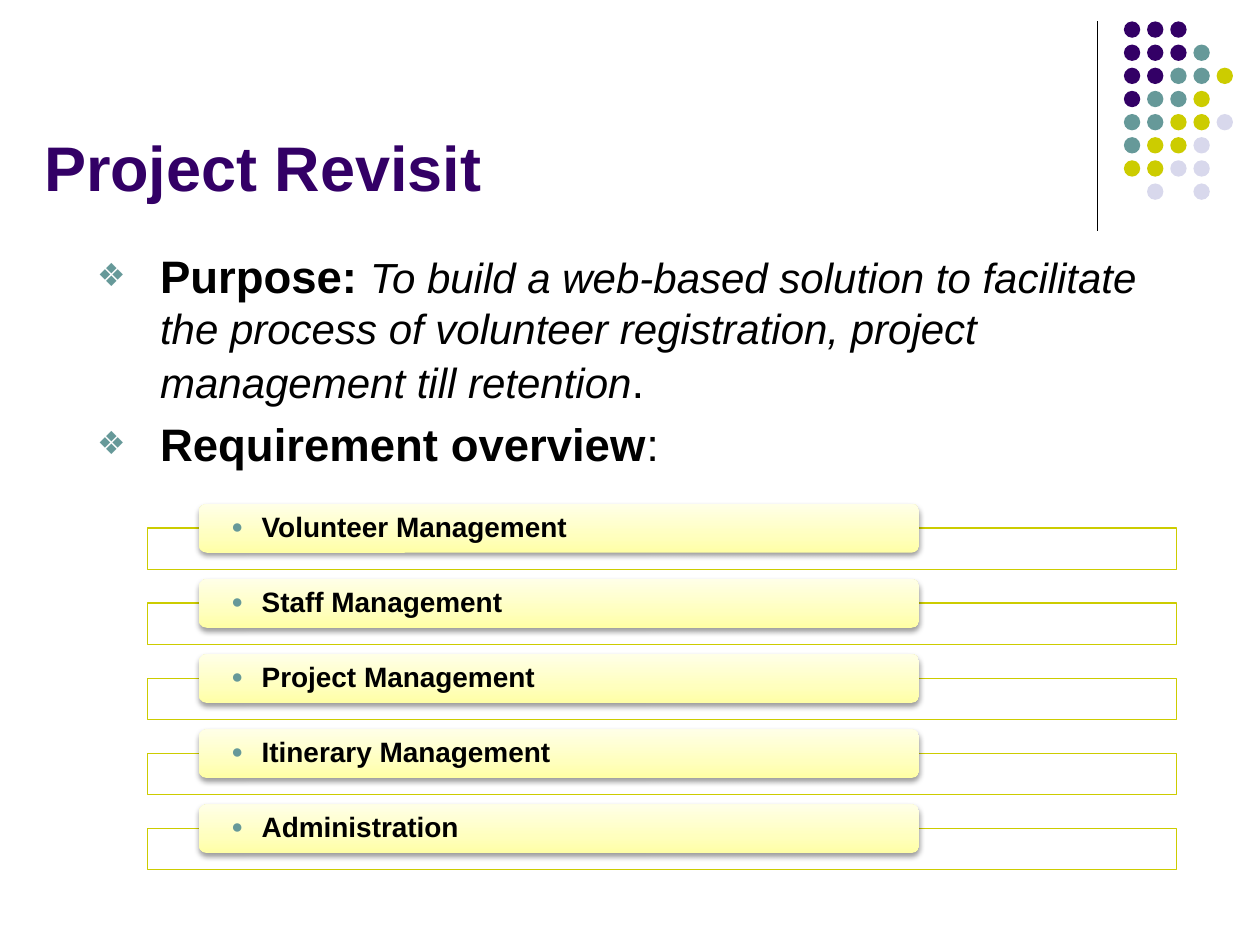
import pptx
import pptx.util
import pptx.dml.color
import pptx.enum.shapes
import pptx.enum.text
import pptx.oxml
import pptx.oxml.ns
from dataclasses import dataclass

RGB = pptx.dml.color.RGBColor
PURPLE = RGB(0x33, 0x00, 0x66)
TEAL = RGB(0x66, 0x99, 0x99)
OLIVE = RGB(0xCC, 0xCC, 0x00)
LAVENDER = RGB(0xD8, 0xD8, 0xEC)
BLACK = RGB(0x00, 0x00, 0x00)
WHITE = RGB(0xFF, 0xFF, 0xFF)
PALE_STOPS = [(0, RGB(0xFF, 0xFF, 0xA5)), (35, RGB(0xFF, 0xFF, 0xBF)), (100, RGB(0xFF, 0xFF, 0xE7))]

FONT = "Arial"
DOT_COLOURS = {"P": PURPLE, "T": TEAL, "O": OLIVE, "L": LAVENDER}
DOT_ROWS = ["PPP", "PPPT", "PPTTO", "PTTO", "TTOOL", "TOOL", "OOLL", " L L"]
REQUIREMENTS = [
    "Volunteer Management",
    "Staff Management",
    "Project Management",
    "Itinerary Management",
    "Administration",
]
OVERVIEW = [
    [
        ("Purpose: ", 26, True, False),
        ("To build a web-based solution to facilitate the process of volunteer registration, "
         "project management till retention", 24, False, True),
        (".", 26, False, False),
    ],
    [("Requirement overview", 26, True, False), (":", 26, False, False)],
]


@dataclass
class Box:
    """A region in inches."""
    left: float
    top: float
    width: float
    height: float

    def inner(self, x, y, w, h):
        """Return the region given by shares of this one."""
        return Box(self.left + x * self.width, self.top + y * self.height,
                   w * self.width, h * self.height)

    def emu(self):
        """Return left, top, width and height as lengths."""
        return [pptx.util.Inches(n) for n in (self.left, self.top, self.width, self.height)]


def xml(text):
    """Parse a DrawingML element written with the a: prefix."""
    head, mark, tail = text.partition(">")
    space = " " + pptx.oxml.ns.nsdecls("a")
    cut = len(head) - 1 if head.endswith("/") else len(head)
    return pptx.oxml.parse_xml(head[:cut] + space + head[cut:] + mark + tail)


def format_run(run, size, colour, bold=False, italic=False):
    """Set the font of one run."""
    font = run.font
    font.name, font.size = FONT, pptx.util.Pt(size)
    font.bold, font.italic = bold, italic
    font.color.rgb = colour


def set_bullet(paragraph, symbol, indent):
    """Give a paragraph a small teal bullet and a hanging indent."""
    props = paragraph._p.get_or_add_pPr()
    props.set("marL", str(pptx.util.Inches(indent)))
    props.set("indent", str(-pptx.util.Inches(indent)))
    for setting in (f'<a:buClr><a:srgbClr val="{TEAL}"/></a:buClr>', '<a:buSzPct val="70000"/>',
                    f'<a:buFont typeface="{FONT}"/>', f'<a:buChar char="{symbol}"/>'):
        props.append(xml(setting))


def place(placeholder, box, anchor):
    """Move a placeholder to its box and anchor its text."""
    placeholder.left, placeholder.top, placeholder.width, placeholder.height = box.emu()
    frame = placeholder.text_frame
    frame.auto_size = pptx.enum.text.MSO_AUTO_SIZE.NONE
    frame.word_wrap = True
    frame.vertical_anchor = anchor
    return frame


def add_title(slide, box):
    """Fill the title placeholder."""
    frame = place(slide.shapes.title, box, pptx.enum.text.MSO_ANCHOR.BOTTOM)
    frame.text = "Project Revisit"
    heading = frame.paragraphs[0]
    heading.alignment = pptx.enum.text.PP_ALIGN.LEFT
    format_run(heading.runs[0], 36, PURPLE, bold=True)


def add_overview(slide, box):
    """Fill the body placeholder with the purpose and the overview heading."""
    frame = place(slide.placeholders[1], box, pptx.enum.text.MSO_ANCHOR.TOP)
    for index, pieces in enumerate(OVERVIEW):
        point = frame.paragraphs[0] if index == 0 else frame.add_paragraph()
        point.space_before = pptx.util.Pt(5)
        set_bullet(point, "❖", 0.5)
        for text, size, bold, italic in pieces:
            run = point.add_run()
            run.text = text
            format_run(run, size, BLACK, bold, italic)


def add_dots(slide, box):
    """Draw the dot pattern on a grid of five columns and eight rows."""
    dots = slide.shapes.add_group_shape().shapes
    for row, codes in enumerate(DOT_ROWS):
        for column, code in enumerate(codes):
            if code == " ":
                continue
            cell = box.inner(column / 5, row / 8, 0.13 / box.width, 0.13 / box.height)
            dot = dots.add_shape(pptx.enum.shapes.MSO_SHAPE.OVAL, *cell.emu())
            dot.shadow.inherit = False
            dot.fill.solid()
            dot.fill.fore_color.rgb = DOT_COLOURS[code]
            dot.line.fill.background()


def add_divider(slide, box):
    """Draw the thin vertical line down the left edge of the box."""
    left, top, _, height = box.emu()
    divider = slide.shapes.add_connector(
        pptx.enum.shapes.MSO_CONNECTOR.STRAIGHT, left, top, left, top + height)
    divider.line.color.rgb = BLACK
    divider.line.width = pptx.util.Pt(0.75)
    divider._element.spPr.append(xml("<a:effectLst/>"))


def add_requirement(shapes, box, name):
    """Draw one outlined bar with its raised label."""
    bar = shapes.add_shape(pptx.enum.shapes.MSO_SHAPE.RECTANGLE, *box.inner(0, 0.32, 1, 0.55).emu())
    bar.shadow.inherit = False
    bar.fill.solid()
    bar.fill.fore_color.rgb = WHITE
    bar._element.spPr.find(".//" + pptx.oxml.ns.qn("a:srgbClr")).append(xml('<a:alpha val="90000"/>'))
    bar.line.color.rgb = OLIVE
    bar.line.width = pptx.util.Pt(0.75)

    label = shapes.add_shape(
        pptx.enum.shapes.MSO_SHAPE.ROUNDED_RECTANGLE, *box.inner(0.05, 0, 0.7, 0.65).emu())
    stops = "".join(f'<a:gs pos="{position * 1000}"><a:srgbClr val="{colour}"/></a:gs>'
                    for position, colour in PALE_STOPS)
    label._element.spPr.insert(2, xml(
        f'<a:gradFill><a:gsLst>{stops}</a:gsLst><a:lin ang="16200000" scaled="0"/></a:gradFill>'))
    label.line.fill.background()
    label.shadow.inherit = False
    label._element.spPr.find(pptx.oxml.ns.qn("a:effectLst")).append(xml(
        '<a:outerShdw blurRad="40000" dist="20000" dir="5400000" rotWithShape="0">'
        '<a:srgbClr val="000000"><a:alpha val="38000"/></a:srgbClr></a:outerShdw>'))

    frame = label.text_frame
    frame.word_wrap = True
    frame.vertical_anchor = pptx.enum.text.MSO_ANCHOR.MIDDLE
    frame.margin_left = frame.margin_right = pptx.util.Inches(0.24)
    frame.margin_top = frame.margin_bottom = 0
    frame.text = name
    entry = frame.paragraphs[0]
    entry.alignment = pptx.enum.text.PP_ALIGN.LEFT
    entry.line_spacing = 0.9
    set_bullet(entry, "●", 0.24)
    format_run(entry.runs[0], 16, BLACK, bold=True)


def add_requirements(slide, box):
    """Stack the requirements in equal rows."""
    shapes = slide.shapes.add_group_shape().shapes
    share = 1 / len(REQUIREMENTS)
    for row, name in enumerate(REQUIREMENTS):
        add_requirement(shapes, box.inner(0, row * share, 1, share), name)


def main():
    """Build and save the slide."""
    deck = pptx.Presentation()
    deck.slide_width, deck.slide_height = pptx.util.Inches(10), pptx.util.Inches(7.5)
    slide = deck.slides.add_slide(deck.slide_layouts[1])
    add_divider(slide, Box(8.71, 0.17, 1.07, 1.66))
    add_dots(slide, Box(8.92, 0.17, 0.92, 1.47))
    add_title(slide, Box(0.25, 0.25, 8.42, 1.42))
    add_requirements(slide, Box(1.17, 4, 8.17, 2.98))
    add_overview(slide, Box(0.67, 1.92, 8.75, 1.91))
    deck.save("out.pptx")


if __name__ == "__main__":
    main()
